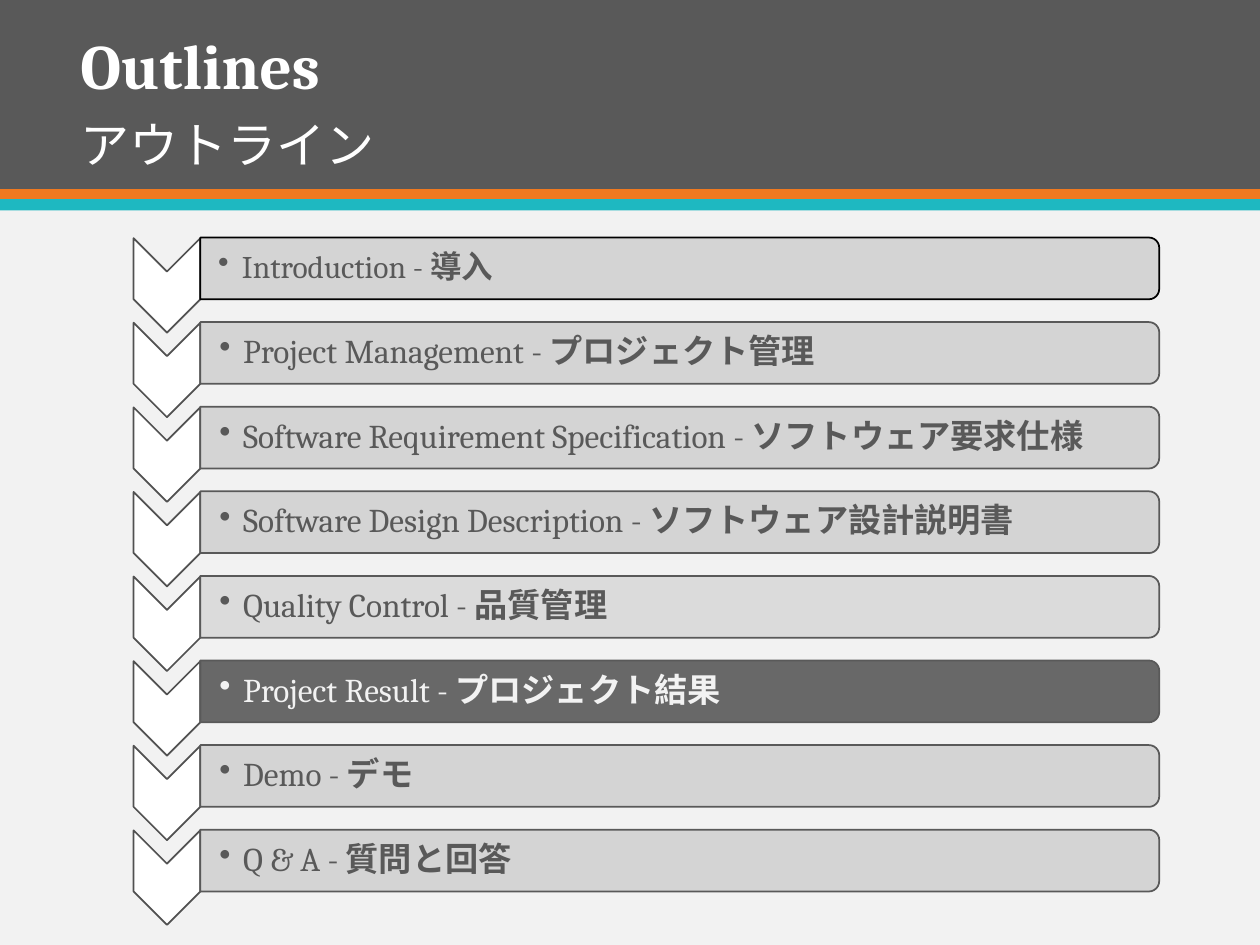
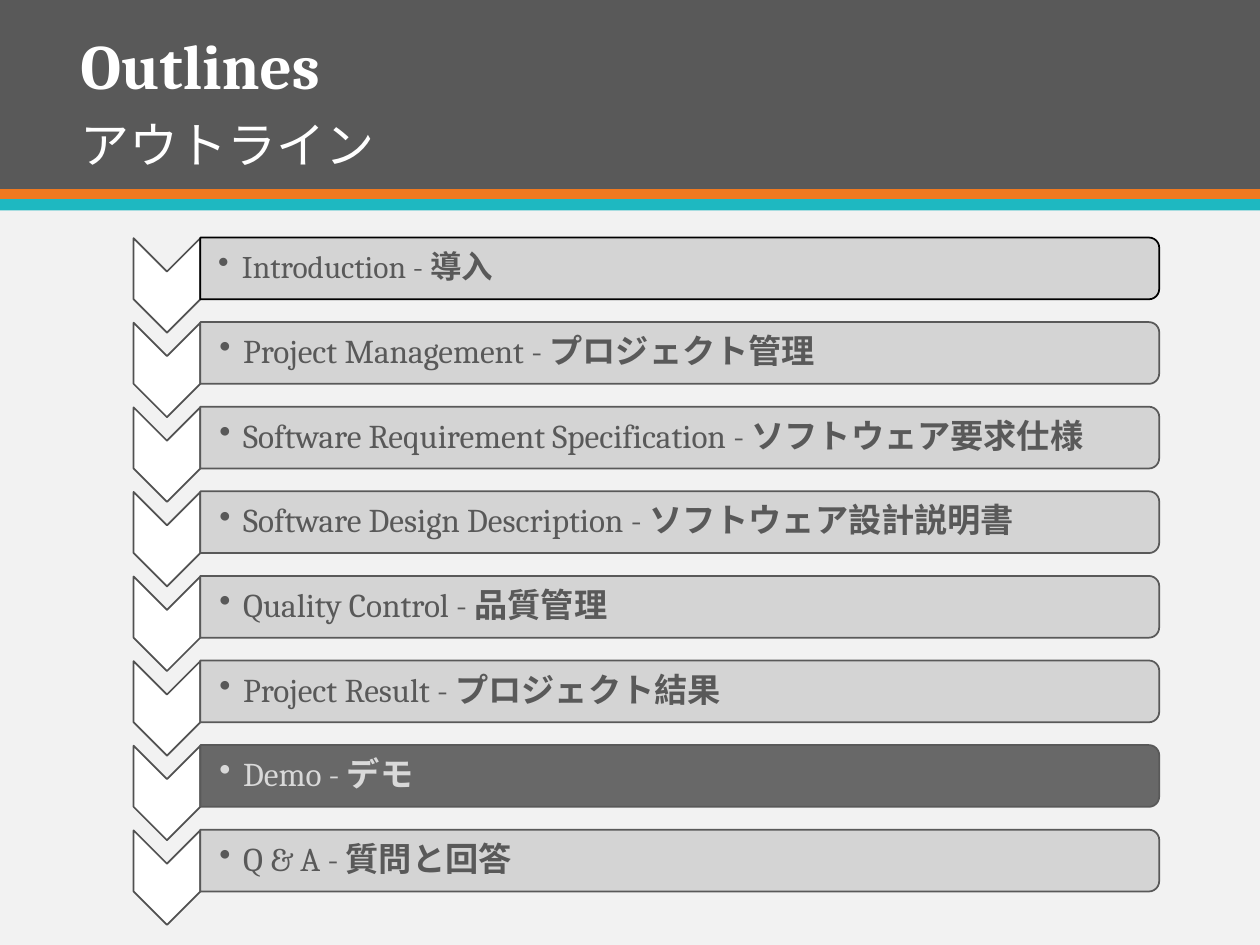
import pptx
import pptx.dml.color
import pptx.enum.shapes
import pptx.enum.text
import pptx.oxml.ns
import pptx.util
from lxml import etree

Inches = pptx.util.Inches
Pt = pptx.util.Pt
SHAPE = pptx.enum.shapes.MSO_SHAPE
ANCHOR = pptx.enum.text.MSO_ANCHOR
qn = pptx.oxml.ns.qn

FONT = "Cambria"
DARK, WHITE, PAPER, ORANGE, TEAL = "595959", "FFFFFF", "F2F2F2", "EF7920", "1EB8C1"
BAR, LIGHT, CHEVRON_LINE, BLACK = "D1D1D1", "D9D9D9", "515151", "000000"

TOPICS = [
    ("Introduction", "導入"),
    ("Project Management", "プロジェクト管理"),
    ("Software Requirement Specification", "ソフトウェア要求仕様"),
    ("Software Design Description", "ソフトウェア設計説明書"),
    ("Quality Control", "品質管理"),
    ("Project Result", "プロジェクト結果"),
    ("Demo", "デモ"),
    ("Q & A", "質問と回答"),
]
FIRST_ROW, LAST_ROW = 2.13, 6.83
PITCH = (LAST_ROW - FIRST_ROW) / (len(TOPICS) - 1)
BAR_LEFT, BAR_LENGTH, BAR_HEIGHT = 1.59, 7.61, 0.49


def rgb(value):
    return pptx.dml.color.RGBColor.from_string(value)


class OutlineDeck:
    """Builds outline slides that share one header and list style."""

    def __init__(self):
        self.prs = pptx.Presentation()
        self.prs.slide_width, self.prs.slide_height = Inches(10), Inches(7.5)
        self.s = None

    def shape(self, kind, x, y, w, h, fill, line=None, rotation=0, alpha=None):
        sp = self.s.shapes.add_shape(kind, Inches(x), Inches(y), Inches(w), Inches(h))
        sp.shadow.inherit = False
        sp.rotation = rotation
        sp.fill.solid()
        sp.fill.fore_color.rgb = rgb(fill)
        if alpha:
            color = sp.fill._xPr.find(qn("a:solidFill"))[0]
            etree.SubElement(color, qn("a:alpha"), val=str(alpha * 1000))
        if line:
            sp.line.color.rgb = rgb(line)
            sp.line.width = Pt(1)
        else:
            sp.line.fill.background()
        return sp

    def text(self, x, y, w, h, runs, size, color, anchor=ANCHOR.TOP, wrap=True, spacing=None):
        sp = self.s.shapes.add_textbox(Inches(x), Inches(y), Inches(w), Inches(h))
        tf = sp.text_frame
        tf.word_wrap = wrap
        tf.vertical_anchor = anchor
        p = tf.paragraphs[0]
        p.line_spacing = spacing
        for words, bold in runs:
            r = p.add_run()
            r.text = words
            r.font.name, r.font.size, r.font.bold = FONT, Pt(size), bold
            r.font.color.rgb = rgb(color)
        return tf

    def bullet(self, tf, inset):
        tf.margin_left = Inches(inset)
        tf.margin_top = tf.margin_right = tf.margin_bottom = Inches(0.01)
        p = tf.paragraphs[0]
        p.level = 1
        pPr = p._p.get_or_add_pPr()
        pPr.set("marL", str(Inches(0.19)))
        pPr.set("indent", str(-Inches(0.19)))
        etree.SubElement(pPr, qn("a:buChar"), char="•")

    def header(self, title, subtitle):
        self.s = self.prs.slides.add_slide(self.prs.slide_layouts[6])
        self.s.background.fill.solid()
        self.s.background.fill.fore_color.rgb = rgb(PAPER)
        for y, h, fill in [(0, 1.5, DARK), (1.5, 0.09, ORANGE), (1.58, 0.09, TEAL)]:
            self.shape(SHAPE.RECTANGLE, 0, y, 10, h, fill)
        self.text(0.54, 0.72, 7.88, 0.71, [(subtitle, False)], 28, WHITE, ANCHOR.BOTTOM, spacing=0.9)
        self.text(0.54, 0.16, 2.22, 0.71, [(title, True)], 36, WHITE, wrap=False)

    def topic(self, index, fill, color):
        english, japanese = TOPICS[index]
        middle = FIRST_ROW + index * PITCH
        first = index == 0
        self.shape(SHAPE.CHEVRON, 0.95, middle - 0.13, 0.75, 0.53, WHITE, CHEVRON_LINE, 90)
        self.shape(SHAPE.ROUND_2_SAME_RECTANGLE, BAR_LEFT + (BAR_LENGTH - BAR_HEIGHT) / 2,
                   middle - BAR_LENGTH / 2, BAR_HEIGHT, BAR_LENGTH, fill,
                   BLACK if first else DARK, 90, alpha=90)
        tf = self.text(BAR_LEFT, middle - 0.22, 7.58, 0.44,
                       [(english + " - ", False), (japanese, True)],
                       18 if first else 19, color, ANCHOR.MIDDLE, spacing=0.9)
        self.bullet(tf, 0.14 if first else 0.15)

    def outline(self, current, current_color, fills):
        self.header("Outlines", "アウトライン")
        for index in range(len(TOPICS)):
            if index == current:
                self.topic(index, DARK, current_color)
            else:
                self.topic(index, fills.get(index, BAR), DARK)


deck = OutlineDeck()
deck.outline(5, PAPER, {4: LIGHT})
deck.outline(6, LIGHT, {})
deck.prs.save("out.pptx")
